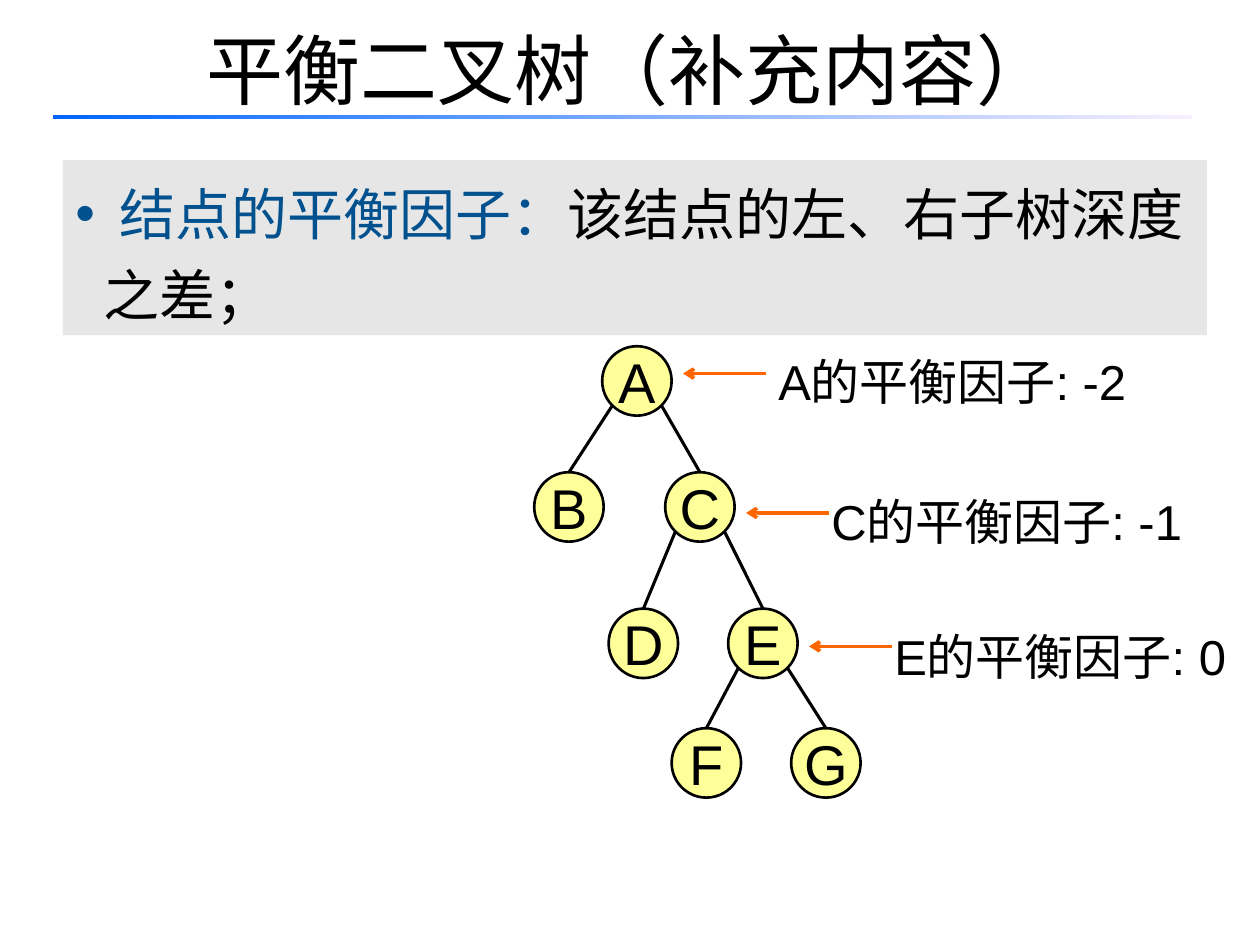
from dataclasses import dataclass
from math import sqrt

from lxml.etree import SubElement
from pptx import Presentation
from pptx.dml.color import RGBColor
from pptx.enum.shapes import MSO_CONNECTOR, MSO_SHAPE
from pptx.enum.text import MSO_ANCHOR, MSO_AUTO_SIZE, PP_ALIGN
from pptx.oxml.ns import qn
from pptx.util import Cm, Pt

BLACK = "000000"
ORANGE = "FF6600"
RADIUS = 0.7
DIAGONAL = RADIUS / sqrt(2)
ARROW_GAP = 0.93
ARROW_LENGTH = 1.68


@dataclass(frozen=True)
class Node:
    x: float
    y: float
    fill: str = "FFFF99"


@dataclass(frozen=True)
class Factor:
    node: str
    value: str
    arrow_rise: float
    left: float
    top: float
    width: float


NODES = {
    "A": Node(12.84, 7.68, "FFFE98"),
    "B": Node(11.47, 10.22),
    "C": Node(14.11, 10.22),
    "D": Node(12.97, 12.97),
    "E": Node(15.38, 12.97),
    "F": Node(14.24, 15.38),
    "G": Node(16.65, 15.38),
}
CHILDREN = {"A": "BC", "C": "DE", "E": "FG"}
FACTORS = [
    Factor("A", "-2", -0.15, 15.44, 6.48, 9.09),
    Factor("C", "-1", 0.12, 16.51, 9.3, 9.53),
    Factor("E", "0", 0.06, 17.78, 12.04, 8.89),
]


def color(value: str) -> RGBColor:
    return RGBColor.from_string(value)


def apply_format(target, values: dict) -> None:
    for name, value in values.items():
        setattr(target, name, value)


def add_span(para, text: str, size: float, fill: str = BLACK, font: str = "Arial") -> None:
    span = para.add_run()
    span.text = text
    apply_format(span.font, {"name": font, "size": Pt(size)})
    span.font.color.rgb = color(fill)
    SubElement(span.font._element, qn("a:ea")).set("typeface", font)


def add_box(page, kind, left: float, top: float, width: float, height: float):
    box = page.shapes.add_shape(kind, Cm(left), Cm(top), Cm(width), Cm(height))
    box.shadow.inherit = False
    box.line.fill.background()
    return box


def add_line(page, start: tuple, end: tuple, fill: str, width: float, arrow: bool = False) -> None:
    line = page.shapes.add_connector(
        MSO_CONNECTOR.STRAIGHT, *(Cm(length) for length in (*start, *end))
    )
    line.line.color.rgb = color(fill)
    line.line.width = Pt(width)
    if arrow:
        SubElement(line.line._get_or_add_ln(), qn("a:tailEnd")).set("type", "arrow")
    SubElement(line._element.spPr, qn("a:effectLst"))


def add_title(page) -> None:
    title = page.shapes.title
    apply_format(
        title,
        {"left": Cm(1.27), "top": Cm(-0.2), "width": Cm(22.86), "height": Cm(3.18)},
    )
    apply_format(
        title.text_frame,
        {"vertical_anchor": MSO_ANCHOR.MIDDLE, "word_wrap": True, "auto_size": MSO_AUTO_SIZE.NONE},
    )
    para = title.text_frame.paragraphs[0]
    para.alignment = PP_ALIGN.CENTER
    add_span(para, "平衡二叉树（补充内容）", 44, font="Noto Sans CJK SC")

    rule = add_box(page, MSO_SHAPE.RECTANGLE, 1.06, 2.31, 22.98, 0.1)
    rule.fill.gradient()
    rule.fill.gradient_angle = 0
    for stop, fill, position in zip(rule.fill.gradient_stops, ("0066FF", "F7EFFF"), (0, 1)):
        stop.color.rgb = color(fill)
        stop.position = position


def add_definition(page) -> None:
    box = add_box(page, MSO_SHAPE.RECTANGLE, 1.27, 3.23, 23.06, 3.53)
    box.fill.solid()
    box.fill.fore_color.rgb = color("E6E6E6")
    apply_format(
        box.text_frame,
        {
            "vertical_anchor": MSO_ANCHOR.TOP,
            "word_wrap": True,
            "auto_size": MSO_AUTO_SIZE.SHAPE_TO_FIT_TEXT,
        },
    )
    para = box.text_frame.paragraphs[0]
    apply_format(para, {"alignment": PP_ALIGN.LEFT, "line_spacing": 1.2})
    properties = para._p.get_or_add_pPr()
    properties.set("marL", str(Cm(0.57)))
    properties.set("indent", str(-Cm(0.57)))
    SubElement(properties, qn("a:buFont")).set("typeface", "Arial")
    SubElement(properties, qn("a:buChar")).set("char", "•")
    add_span(para, " 结点的平衡因子：", 32, "00518E")
    add_span(para, "该结点的左、右子树深度之差；", 32)


def add_node(page, name: str, node: Node) -> None:
    circle = add_box(
        page, MSO_SHAPE.OVAL, node.x - RADIUS, node.y - RADIUS, 2 * RADIUS, 2 * RADIUS
    )
    circle.fill.solid()
    circle.fill.fore_color.rgb = color(node.fill)
    circle.line.color.rgb = color(BLACK)
    circle.line.width = Pt(1.5)
    apply_format(circle.text_frame, {"vertical_anchor": MSO_ANCHOR.MIDDLE, "word_wrap": False})
    para = circle.text_frame.paragraphs[0]
    para.alignment = PP_ALIGN.CENTER
    add_span(para, name, 32)


def add_edges(page, parent: Node, children: str) -> None:
    for side, name in zip((-1, 1), children):
        child = NODES[name]
        start = (parent.x + side * DIAGONAL, parent.y + DIAGONAL)
        add_line(page, start, (child.x, child.y - RADIUS), BLACK, 1.75)


def add_factor(page, factor: Factor) -> None:
    node = NODES[factor.node]
    tip = node.x + ARROW_GAP
    height = node.y + factor.arrow_rise
    add_line(page, (tip + ARROW_LENGTH, height), (tip, height), ORANGE, 2, arrow=True)
    box = page.shapes.add_textbox(Cm(factor.left), Cm(factor.top), Cm(factor.width), Cm(1.93))
    apply_format(
        box.text_frame, {"word_wrap": True, "auto_size": MSO_AUTO_SIZE.SHAPE_TO_FIT_TEXT}
    )
    para = box.text_frame.paragraphs[0]
    para.line_spacing = 1.4
    add_span(para, f"{factor.node}的平衡因子: {factor.value}", 28)


def main() -> None:
    deck = Presentation()
    apply_format(deck, {"slide_width": Cm(25.4), "slide_height": Cm(19.05)})
    page = deck.slides.add_slide(deck.slide_layouts[5])
    add_title(page)
    add_definition(page)
    for name, node in NODES.items():
        add_node(page, name, node)
    for name, children in CHILDREN.items():
        add_edges(page, NODES[name], children)
    for factor in FACTORS:
        add_factor(page, factor)
    deck.save("out.pptx")


if __name__ == "__main__":
    main()
